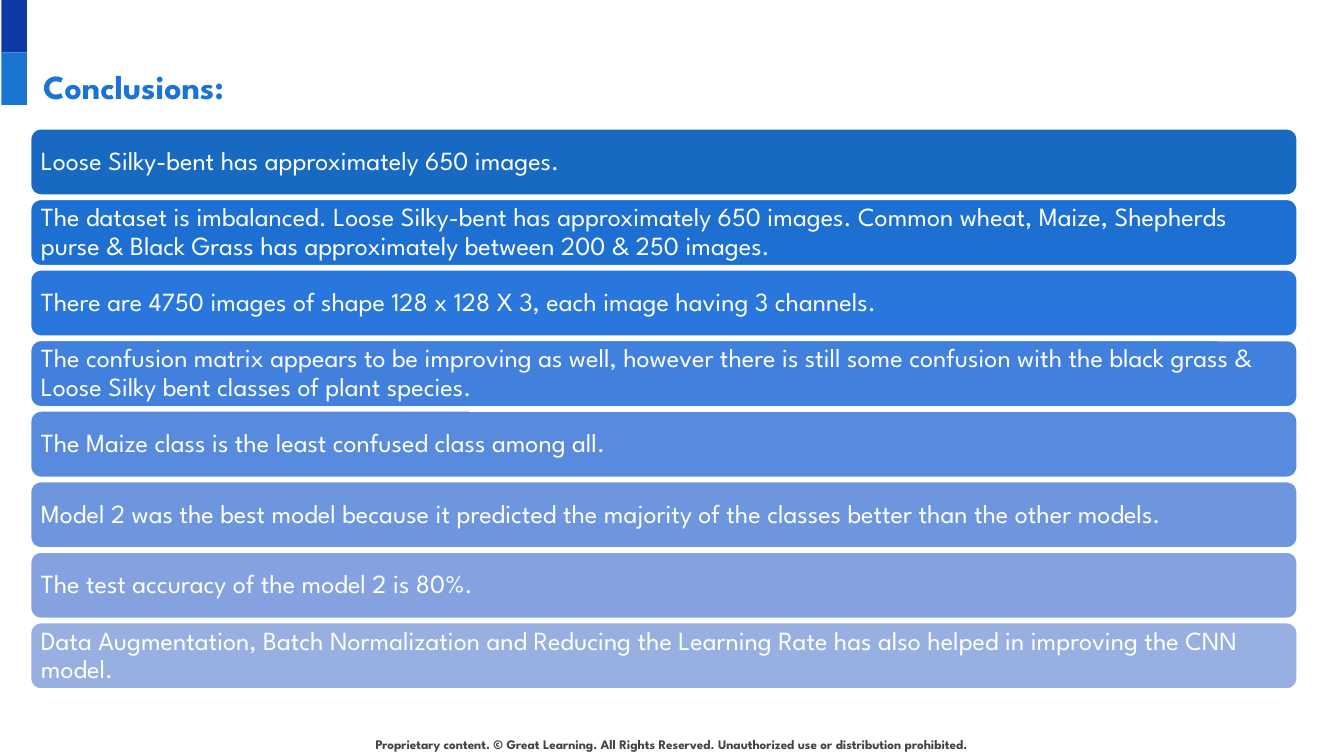
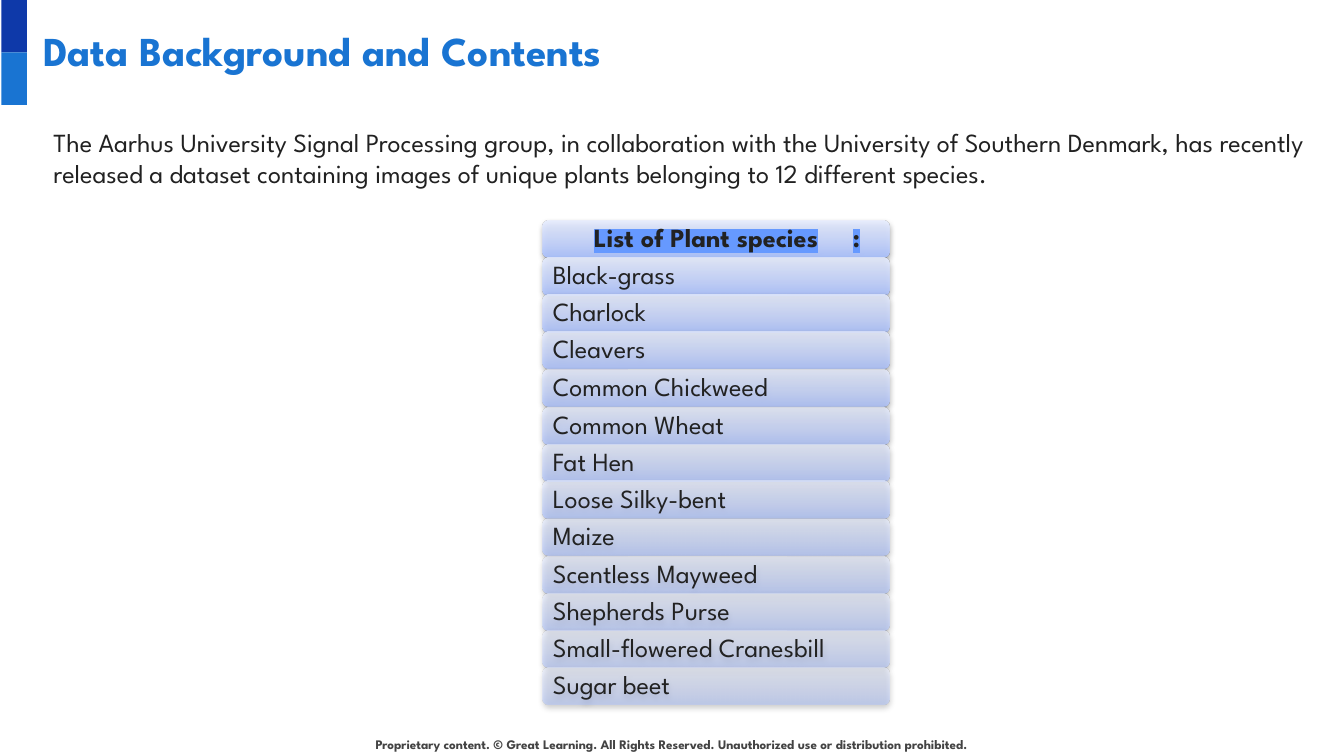
import lxml.etree
import pptx
import pptx.dml.color
import pptx.enum.shapes
import pptx.enum.text
import pptx.oxml
import pptx.oxml.ns
import pptx.util

RGB = pptx.dml.color.RGBColor
SHAPE = pptx.enum.shapes.MSO_SHAPE
ALIGN = pptx.enum.text.PP_ALIGN
ANCHOR = pptx.enum.text.MSO_ANCHOR
FIT = pptx.enum.text.MSO_AUTO_SIZE
qn = pptx.oxml.ns.qn

WHITE = RGB(0xFF, 0xFF, 0xFF)
NAVY = RGB(0x0E, 0x39, 0xA9)
BLUE = RGB(0x19, 0x74, 0xD2)
SKY = RGB(0x19, 0x74, 0xD5)
GREY = RGB(0x43, 0x43, 0x43)
INK = RGB(0x22, 0x22, 0x22)
BODY = RGB(0x21, 0x21, 0x21)
MARK = RGB(0x66, 0x99, 0xFF)
FADE = (
    (0, RGB(0xA9, 0xC0, 0xFF)),
    (35, RGB(0xC2, 0xD2, 0xFF)),
    (100, RGB(0xE8, 0xEE, 0xFF)),
)

FONT = "League Spartan"
SCALE = 4572
FOOTER = ("Proprietary content. © Great Learning. All Rights Reserved. "
          "Unauthorized use or distribution prohibited.")

POINTS = (
    (RGB(0x17, 0x69, 0xC1), "Loose Silky-bent has approximately 650 images."),
    (RGB(0x1D, 0x70, 0xD2),
     "The dataset is imbalanced. Loose Silky-bent has approximately 650 images. "
     "Common wheat, Maize, Shepherds purse & Black Grass has approximately "
     "between 200 & 250 images."),
    (RGB(0x29, 0x77, 0xDD),
     "There are 4750 images of shape 128 x 128 X 3, each image having 3 channels."),
    (RGB(0x41, 0x81, 0xDD),
     "The confusion matrix appears to be improving as well, however there is still "
     "some confusion with the black grass & Loose Silky bent classes of plant species."),
    (RGB(0x58, 0x8B, 0xDD), "The Maize class is the least confused class among all."),
    (RGB(0x6E, 0x96, 0xDE),
     "Model 2 was the best model because it predicted the majority of the classes "
     "better than the other models."),
    (RGB(0x84, 0xA2, 0xE0), "The test accuracy of the model 2 is 80%."),
    (RGB(0x98, 0xAF, 0xE2),
     "Data Augmentation, Batch Normalization and Reducing the Learning Rate has also "
     "helped in improving the CNN model."),
)

PLANTS = (
    "Black-grass", "Charlock", "Cleavers", "Common Chickweed", "Common Wheat",
    "Fat Hen", "Loose Silky-bent", "Maize", "Scentless Mayweed",
    "Shepherds Purse", "Small-flowered Cranesbill", "Sugar beet",
)


def px(size):
    return pptx.util.Emu(size * SCALE)


def add(node, tag, **attrs):
    return lxml.etree.SubElement(
        node, qn(tag), {key: str(val) for key, val in attrs.items()})


class Deck:
    def __init__(self):
        self.show = pptx.Presentation()
        self.show.slide_width = px(2000)
        self.show.slide_height = px(1125)

    def page(self, title, box, size, color):
        self.slide = self.show.slides.add_slide(self.show.slide_layouts[5])
        self.shape(SHAPE.RECTANGLE, (2, 0, 38, 78), NAVY)
        self.shape(SHAPE.RECTANGLE, (2, 78, 38, 78), BLUE)
        self.text(FOOTER, (488, 1076, 1022, 60), 7, GREY, True,
                  pad=(20, 20), align=ALIGN.CENTER, space=1.02)
        head = self.slide.shapes.title
        head.left, head.top, head.width, head.height = map(px, box)
        self.frame(head, (20, 20), ANCHOR.TOP)
        self.label(head, title, size, color, True)

    def frame(self, shape, pad, anchor):
        frame = shape.text_frame
        frame.word_wrap = True
        frame.auto_size = FIT.NONE
        frame.vertical_anchor = anchor
        frame.margin_left = frame.margin_right = px(pad[0])
        frame.margin_top = frame.margin_bottom = px(pad[1])

    def label(self, shape, text, size, color, bold=False,
              align=ALIGN.LEFT, space=None, tabs=()):
        para = shape.text_frame.paragraphs[0]
        if tabs:
            stops = add(para._p.get_or_add_pPr(), "a:tabLst")
            for stop in tabs:
                add(stops, "a:tab", pos=px(stop), algn="l")
        para.alignment = align
        if space:
            para.line_spacing = space
        run = para.add_run()
        run.text = text
        run.font.name = FONT
        run.font.size = pptx.util.Pt(size)
        run.font.bold = bold
        run.font.color.rgb = color
        return run

    def text(self, text, box, size, color, bold=False, pad=(20, 10), **style):
        shape = self.slide.shapes.add_textbox(*map(px, box))
        self.frame(shape, pad, ANCHOR.TOP)
        self.label(shape, text, size, color, bold, **style)

    def shape(self, kind, box, fill=None, line=None):
        shape = self.slide.shapes.add_shape(kind, *map(px, box))
        shape.shadow.inherit = False
        if fill is not None:
            shape.fill.solid()
            shape.fill.fore_color.rgb = fill
        if line is None:
            shape.line.fill.background()
        else:
            shape.line.color.rgb = line
            shape.line.width = pptx.util.Pt(2)
        return shape

    def bar(self, text, box, color, fill=None, line=None, **style):
        shape = self.shape(SHAPE.ROUNDED_RECTANGLE, box, fill, line)
        self.frame(shape, (12, 12), ANCHOR.MIDDLE)
        run = self.label(shape, text, 14, color, space=0.9, **style)
        return shape, run

    def fade(self, shape, alpha):
        shape.fill.gradient()
        shape.fill.gradient_angle = 90
        props = shape._element.spPr
        stops = props.find(".//" + qn("a:gsLst"))
        for stop in list(stops):
            stops.remove(stop)
        for place, color in FADE:
            stop = add(stops, "a:gs", pos=place * 1000)
            tint = add(stop, "a:srgbClr", val=color)
            add(tint, "a:alpha", val=alpha * 1000)

    def shade(self, shape):
        effects = shape._element.spPr.find(qn("a:effectLst"))
        shade = add(effects, "a:outerShdw", blurRad=40000, dist=20000,
                    dir=5400000, rotWithShape=0)
        add(add(shade, "a:srgbClr", val="000000"), "a:alpha", val=38000)

    def mark(self, run, color):
        props = run._r.get_or_add_rPr()
        light = add(props, "a:highlight")
        add(light, "a:srgbClr", val=color)
        props.find(qn("a:solidFill")).addnext(light)


def main():
    deck = Deck()

    deck.page("Conclusions:", (44, 78, 1668, 78), 18, SKY)
    for row, (fill, point) in enumerate(POINTS):
        deck.bar(point, (44, 190 + 105 * row, 1888, 102), WHITE, fill, WHITE)

    deck.page("Data Background and Contents", (44, 18, 1864, 126), 22, BLUE)
    rows = [("\tList of Plant species\t:", dict(bold=True, tabs=(61, 446)))]
    rows += [(plant, {}) for plant in PLANTS]
    for row, (label, style) in enumerate(rows):
        top = 328 + round(55.5 * row)
        shape, run = deck.bar(label, (808, top, 516, 55), INK, **style)
        deck.fade(shape, round(90 - 40 * row / len(PLANTS)))
        deck.shade(shape)
        if row == 0:
            deck.mark(run, MARK)
    deck.text("The Aarhus University Signal Processing group, in collaboration with "
              "the University of Southern Denmark, has recently released a dataset "
              "containing images of unique plants belonging to 12 different species.",
              (60, 178, 1940, 114), 14, BODY)

    deck.show.save("out.pptx")


if __name__ == "__main__":
    main()
